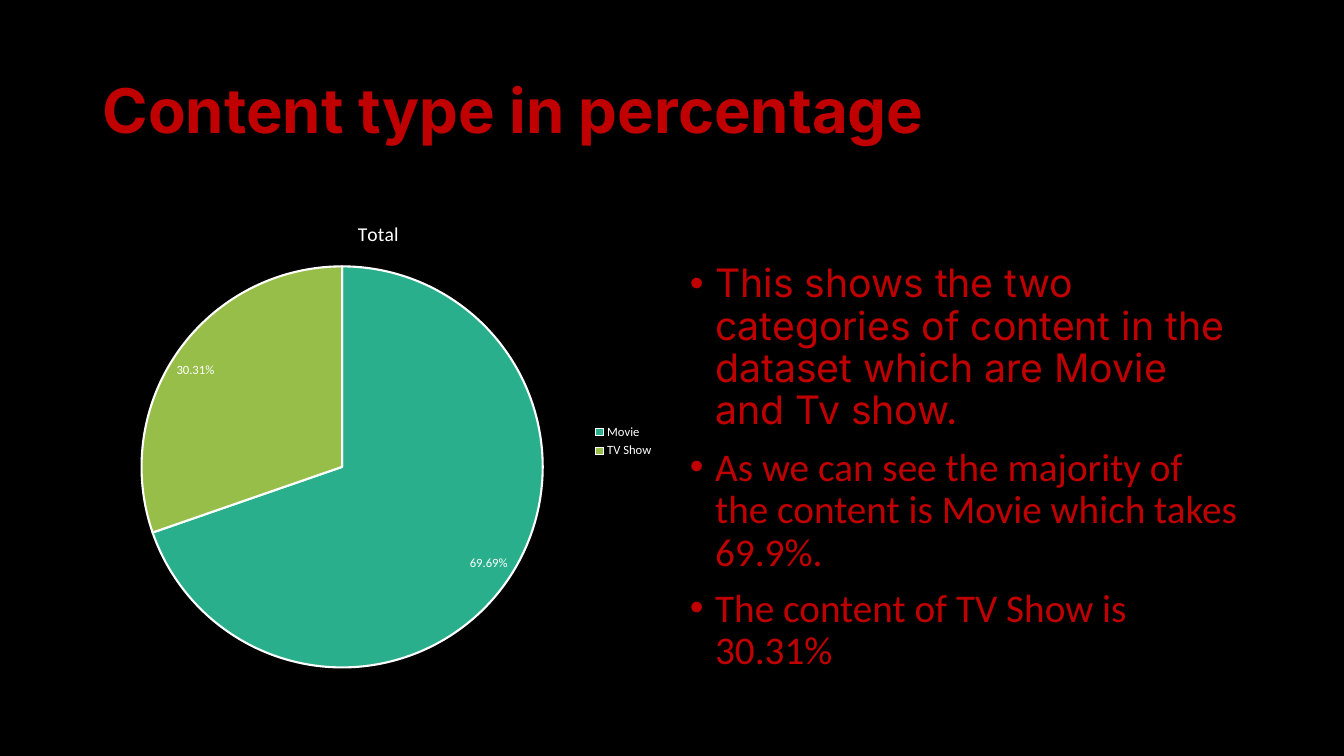
from lxml import etree
from pptx import Presentation
from pptx.chart.data import CategoryChartData
from pptx.dml.color import RGBColor
from pptx.enum.chart import XL_CHART_TYPE, XL_LABEL_POSITION as LabelPos, XL_LEGEND_POSITION as LegendPos
from pptx.enum.text import MSO_ANCHOR
from pptx.oxml.ns import qn
from pptx.util import Inches, Pt

BLACK = RGBColor(0x00, 0x00, 0x00)
WHITE = RGBColor(0xFF, 0xFF, 0xFF)
RED = RGBColor(0xC0, 0x00, 0x00)
TEAL = RGBColor(0x29, 0xAF, 0x8C)
GREEN = RGBColor(0x97, 0xBE, 0x49)

prs = Presentation()
prs.slide_width, prs.slide_height = Inches(13.33), Inches(7.5)
s = prs.slides.add_slide(prs.slide_layouts[6])
s.background.fill.solid()
s.background.fill.fore_color.rgb = BLACK

# Two equal columns between the side margins
margin, gap = Inches(0.92), Inches(0.16)
full_w = prs.slide_width - 2 * margin
col_w = (full_w - gap) // 2
right = margin + col_w + gap
content_top, content_h = Inches(2), Inches(4.76)
bullets_drop = Inches(0.62)


def style(font, size, color, name="Calibri", bold=False):
    """Set size, colour, typeface and weight of a font."""
    font.size, font.name, font.bold = Pt(size), name, bold
    font.color.rgb = color


def add_text(x, y, w, h):
    """Add a wrapping text box and return its text frame."""
    tf = s.shapes.add_textbox(x, y, w, h).text_frame
    tf.word_wrap = True
    return tf


# Title
tf = add_text(margin, Inches(0.4), full_w, Inches(1.45))
tf.vertical_anchor = MSO_ANCHOR.MIDDLE
p = tf.paragraphs[0]
p.text = "Content type in percentage"
p.line_spacing = 0.9
style(p.font, 44, RED, "Inter", True)

# Pie chart
data = CategoryChartData(number_format="0.00%")
data.categories = ["Movie", "TV Show"]
data.add_series("Total", [0.6969, 0.3031])
chart = s.shapes.add_chart(
    XL_CHART_TYPE.PIE, margin, content_top, col_w, content_h, data).chart
style(chart.font, 10, WHITE)

chart.has_title = True
p = chart.chart_title.text_frame.paragraphs[0]
p.text = "Total"
style(p.font, 14, WHITE)
chart.chart_title.include_in_layout = False

chart.has_legend = True
chart.legend.position = LegendPos.RIGHT
chart.legend.include_in_layout = False
style(chart.legend.font, 9, WHITE)

plot = chart.plots[0]
plot.vary_by_categories = True
for i, color in enumerate([TEAL, GREEN]):
    fmt = plot.series[0].points[i].format
    fmt.fill.solid()
    fmt.fill.fore_color.rgb = color
    fmt.line.color.rgb = WHITE
    fmt.line.width = Pt(1.5)

labels = plot.series[0].data_labels
labels.show_value = True
labels.show_percentage = False
labels.number_format, labels.number_format_is_linked = "0.00%", False
labels.position = LabelPos.BEST_FIT
style(labels.font, 9, WHITE)

# Findings
findings = [
    ("This shows the two categories of content in the dataset which are Movie and Tv show.", "Inter"),
    ("As we can see the majority of the content is Movie which takes 69.9%.", "Calibri"),
    ("The content of TV Show is 30.31%", "Calibri"),
]
tf = add_text(right, content_top + bullets_drop, col_w, content_h - bullets_drop)
tf.margin_top = 0
for i, (text, face) in enumerate(findings):
    p = tf.add_paragraph() if i else tf.paragraphs[0]
    p.text = text
    p.line_spacing = 0.9
    p.space_before = Pt(10 if i else 0)
    style(p.font, 28, RED, face)
    pPr = p._p.get_or_add_pPr()
    pPr.set("marL", str(Inches(0.25)))
    pPr.set("indent", str(-Inches(0.25)))
    bu_font = etree.Element(qn("a:buFont"), typeface="Arial")
    bu_char = etree.Element(qn("a:buChar"), char="•")
    for offset, bu in enumerate([bu_font, bu_char]):
        pPr.insert(pPr.index(pPr.find(qn("a:defRPr"))), bu)

prs.save("out.pptx")
